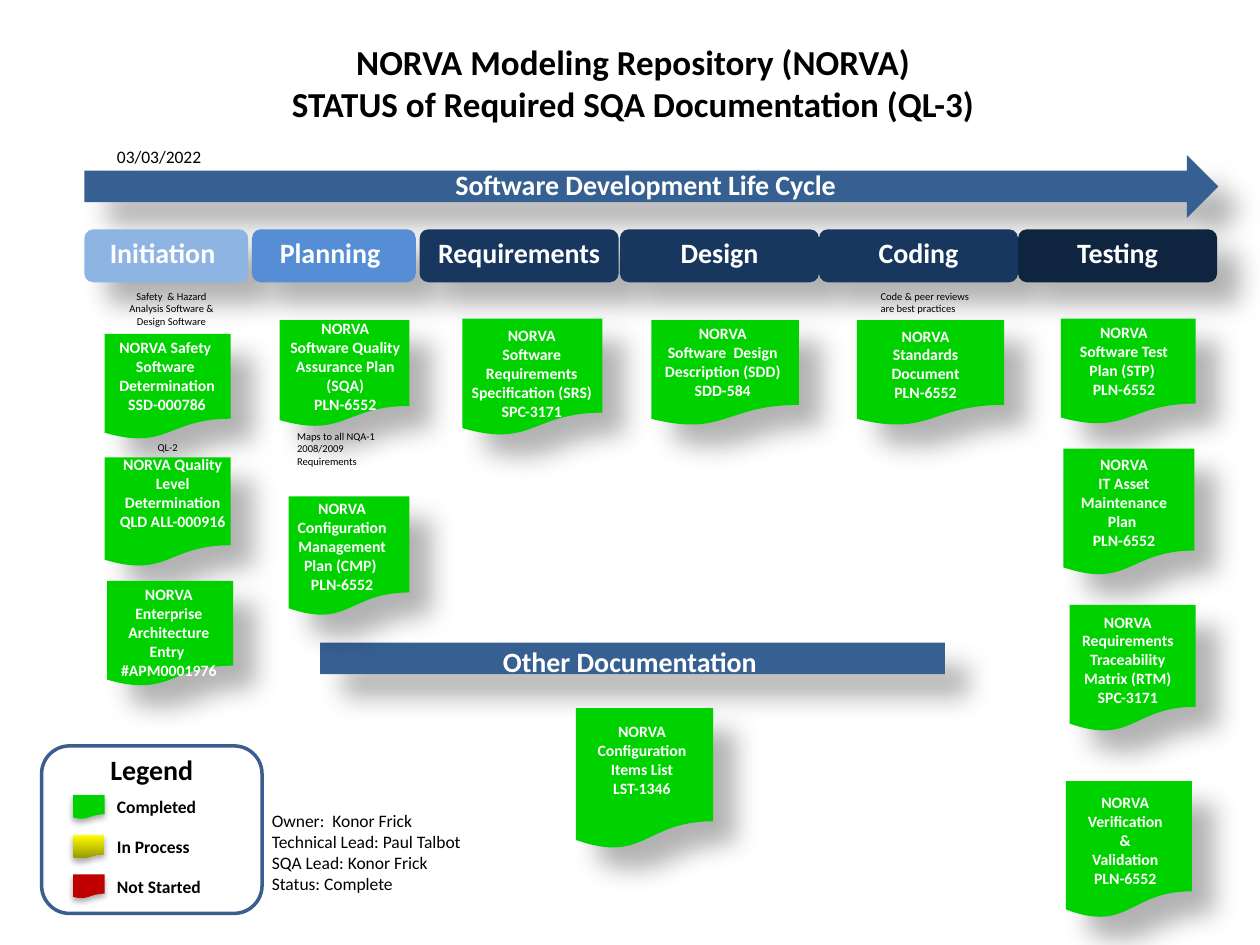
from dataclasses import dataclass

from lxml.etree import SubElement
from pptx import Presentation
from pptx.dml.color import RGBColor
from pptx.enum.shapes import MSO_SHAPE as Shape
from pptx.enum.text import PP_ALIGN as Align
from pptx.oxml.ns import qn
from pptx.util import Inches, Pt


@dataclass(frozen=True)
class Theme:
    font: str = "Calibri"
    white: str = "FFFFFF"
    black: str = "000000"
    bar: str = "376092"
    outline: str = "3A5F8C"
    completed: str = "00D200"
    in_process: tuple = ("979700", "FFFF00")
    not_started: str = "C00000"
    title: int = 20
    heading: int = 16
    body: int = 10
    document: int = 9
    note: int = 6


@dataclass(frozen=True)
class Box:
    left: float
    top: float
    width: float
    height: float

    def lengths(self) -> tuple:
        return tuple(Inches(v) for v in (self.left, self.top, self.width, self.height))


@dataclass(frozen=True)
class Shadow:
    alpha: int
    blur: float
    distance: float
    angle: int


@dataclass(frozen=True)
class Stage:
    name: str
    left: float
    width: float
    color: str
    inset: float = 0


@dataclass(frozen=True)
class Document:
    box: Box
    label: Box
    text: str
    wrap: bool = True


@dataclass(frozen=True)
class Note:
    box: Box
    text: str
    align: Align = Align.LEFT


THEME = Theme()
LARGE_SHADOW = Shadow(30, 15, 18, 45)
SMALL_SHADOW = Shadow(32, 3.5, 2.2, 90)

STAGES = [
    Stage("Initiation", 0.67, 1.3, "8EB4E3", 0.08),
    Stage("Planning", 2, 1.3, "558ED5", 0.08),
    Stage("Requirements", 3.33, 1.58, "17375E"),
    Stage("Design", 4.92, 1.58, "17375E"),
    Stage("Coding", 6.5, 1.58, "17375E"),
    Stage("Testing", 8.08, 1.58, "0F243E"),
]

DOCUMENTS = [
    Document(Box(0.83, 2.65, 1, 0.84), Box(0.83, 2.63, 0.99, 0.71),
             "NORVA Safety \nSoftware \nDetermination\nSSD-000786", False),
    Document(Box(0.83, 3.63, 1, 0.87), Box(0.82, 3.56, 1.1, 0.86),
             "NORVA Quality\nLevel\nDetermination\nQLD ALL-000916"),
    Document(Box(0.85, 4.61, 1, 0.84), Box(0.86, 4.59, 0.96, 0.86),
             "NORVA\nEnterprise\nArchitecture\nEntry \n#APM0001976", False),
    Document(Box(2.22, 2.54, 1.03, 0.85), Box(2.2, 2.48, 1.08, 0.98),
             "NORVA\nSoftware Quality\nAssurance Plan (SQA)\nPLN-6552"),
    Document(Box(2.29, 3.94, 0.96, 0.95), Box(2.25, 3.91, 0.93, 1.28),
             "NORVA\nConfiguration\nManagement\nPlan (CMP) \nPLN-6552", False),
    Document(Box(3.67, 2.53, 1.11, 0.93), Box(3.63, 2.54, 1.18, 0.86),
             "NORVA\nSoftware\nRequirements\nSpecification (SRS)\nSPC-3171"),
    Document(Box(5.17, 2.54, 1.17, 0.84), Box(5.14, 2.52, 1.19, 0.71),
             "NORVA\nSoftware  Design\nDescription (SDD)\nSDD-584"),
    Document(Box(6.8, 2.54, 1.17, 0.84), Box(6.75, 2.54, 1.19, 1.01),
             "NORVA\nStandards Document\nPLN-6552"),
    Document(Box(8.42, 2.53, 1.07, 0.84), Box(8.42, 2.51, 1, 0.86),
             "NORVA\nSoftware Test Plan (STP) \nPLN-6552"),
    Document(Box(8.44, 3.56, 1.04, 1.01), Box(8.41, 3.56, 1.02, 1.31),
             "NORVA\nIT Asset Maintenance Plan \nPLN-6552"),
    Document(Box(8.49, 4.8, 1, 1.01), Box(8.44, 4.81, 1.02, 1.31),
             "NORVA\nRequirements\nTraceability\nMatrix (RTM)\nSPC-3171"),
    Document(Box(8.46, 6.2, 1, 1.09), Box(8.52, 6.24, 0.82, 1.01),
             "NORVA\nVerification\n&\nValidation\nPLN-6552", False),
    Document(Box(4.57, 5.62, 1.09, 1.12), Box(4.53, 5.68, 1.13, 0.71),
             "NORVA Configuration Items List\nLST-1346"),
]

NOTES = [
    Note(Box(0.9, 2.25, 0.92, 0.4),
         "Safety  & Hazard Analysis Software & Design Software", Align.CENTER),
    Note(Box(0.87, 3.45, 0.92, 0.2), "QL-2", Align.CENTER),
    Note(Box(2.26, 3.36, 0.92, 0.5), "Maps to all NQA-1 2008/2009 Requirements"),
    Note(Box(6.89, 2.25, 0.92, 0.3), "Code & peer reviews are best practices"),
]

LEGEND = [("Completed", THEME.completed), ("In Process", THEME.in_process),
          ("Not Started", THEME.not_started)]


def add_shadow(shape, shadow: Shadow) -> None:
    """Give the shape a soft black outer shadow."""
    effects = shape.element.spPr.find(qn("a:effectLst"))
    outer = SubElement(effects, qn("a:outerShdw"), blurRad=str(Pt(shadow.blur)),
                       dist=str(Pt(shadow.distance)), dir=str(shadow.angle * 60000),
                       algn="tl", rotWithShape="0")
    color = SubElement(outer, qn("a:srgbClr"), val=THEME.black)
    SubElement(color, qn("a:alpha"), val=str(shadow.alpha * 1000))


def add_block(slide, kind: Shape, box: Box, color: str | tuple,
              shadow: Shadow = LARGE_SHADOW) -> None:
    """Draw a borderless shape with a solid or upward gradient fill."""
    shape = slide.shapes.add_shape(kind, *box.lengths())
    shape.shadow.inherit = False
    shape.line.fill.background()
    if isinstance(color, tuple):
        shape.fill.gradient()
        shape.fill.gradient_angle = 90
        for stop, stop_color in zip(shape.fill.gradient_stops, color):
            stop.color.rgb = RGBColor.from_string(stop_color)
    else:
        shape.fill.solid()
        shape.fill.fore_color.rgb = RGBColor.from_string(color)
    add_shadow(shape, shadow)


def add_text(slide, box: Box, text: str, size: int, color: str = THEME.black,
             bold: bool = False, align: Align = Align.LEFT, wrap: bool = True) -> None:
    """Write text with one format throughout."""
    frame = slide.shapes.add_textbox(*box.lengths()).text_frame
    frame.word_wrap = wrap
    frame.text = text
    for paragraph in frame.paragraphs:
        paragraph.alignment = align
        for run in paragraph.runs:
            run.font.name = THEME.font
            run.font.size = Pt(size)
            run.font.bold = bold
            run.font.color.rgb = RGBColor.from_string(color)


def add_heading(slide, box: Box, text: str, color: str = THEME.white) -> None:
    """Write a centred bold heading."""
    add_text(slide, box, text, THEME.heading, color, True, Align.CENTER)


def add_stage(slide, stage: Stage) -> None:
    """Draw one life cycle stage with its name."""
    add_block(slide, Shape.ROUNDED_RECTANGLE,
              Box(stage.left, 1.82, stage.width, 0.42), stage.color)
    width = 1.08 if stage.inset else stage.width
    add_heading(slide, Box(stage.left + stage.inset, 1.82, width, 0.37), stage.name)


def add_document(slide, document: Document) -> None:
    """Draw one completed document with its label."""
    add_block(slide, Shape.FLOWCHART_DOCUMENT, document.box, THEME.completed)
    add_text(slide, document.label, document.text, THEME.document, THEME.white,
             True, Align.CENTER, document.wrap)


def add_legend(slide) -> None:
    """Draw the framed status legend."""
    frame = slide.shapes.add_shape(Shape.ROUNDED_RECTANGLE,
                                   *Box(0.33, 5.92, 1.75, 1.33).lengths())
    frame.shadow.inherit = False
    frame.fill.background()
    frame.line.color.rgb = RGBColor.from_string(THEME.outline)
    frame.line.width = Pt(2)
    add_heading(slide, Box(0.41, 5.92, 1.59, 0.37), "Legend", THEME.black)
    for index, (status, color) in enumerate(LEGEND):
        top = 6.31 + index * 0.315
        add_block(slide, Shape.FLOWCHART_DOCUMENT, Box(0.58, top, 0.25, 0.19),
                  color, SMALL_SHADOW)
        add_text(slide, Box(0.83, top - 0.04, 0.92, 0.27), status, THEME.body, bold=True)


def main() -> None:
    """Build and save the documentation status slide."""
    presentation = Presentation()
    presentation.slide_width, presentation.slide_height = Inches(10), Inches(7.5)
    slide = presentation.slides.add_slide(presentation.slide_layouts[6])
    add_text(slide, Box(1.69, 0.27, 6.67, 0.77),
             "NORVA Modeling Repository (NORVA)\nSTATUS of Required SQA Documentation (QL-3)",
             THEME.title, bold=True, align=Align.CENTER)
    add_block(slide, Shape.RIGHT_ARROW, Box(0.67, 1.23, 9, 0.5), THEME.bar)
    add_heading(slide, Box(0.75, 1.28, 8.75, 0.37), "Software Development Life Cycle")
    add_block(slide, Shape.RECTANGLE, Box(2.54, 5.1, 4.96, 0.25), THEME.bar)
    add_heading(slide, Box(2.52, 5.07, 4.96, 0.37), "Other Documentation")
    for stage in STAGES:
        add_stage(slide, stage)
    for document in DOCUMENTS:
        add_document(slide, document)
    for note in NOTES:
        add_text(slide, note.box, note.text, THEME.note, align=note.align)
    add_legend(slide)
    add_text(slide, Box(0.83, 1.11, 0.89, 0.27), "03/03/2022", THEME.body, wrap=False)
    add_text(slide, Box(2.06, 6.38, 1.74, 0.94),
             "Owner:  Konor Frick\nTechnical Lead: Paul Talbot\n"
             "SQA Lead: Konor Frick\nStatus: Complete", THEME.body, wrap=False)
    presentation.save("out.pptx")


if __name__ == "__main__":
    main()
